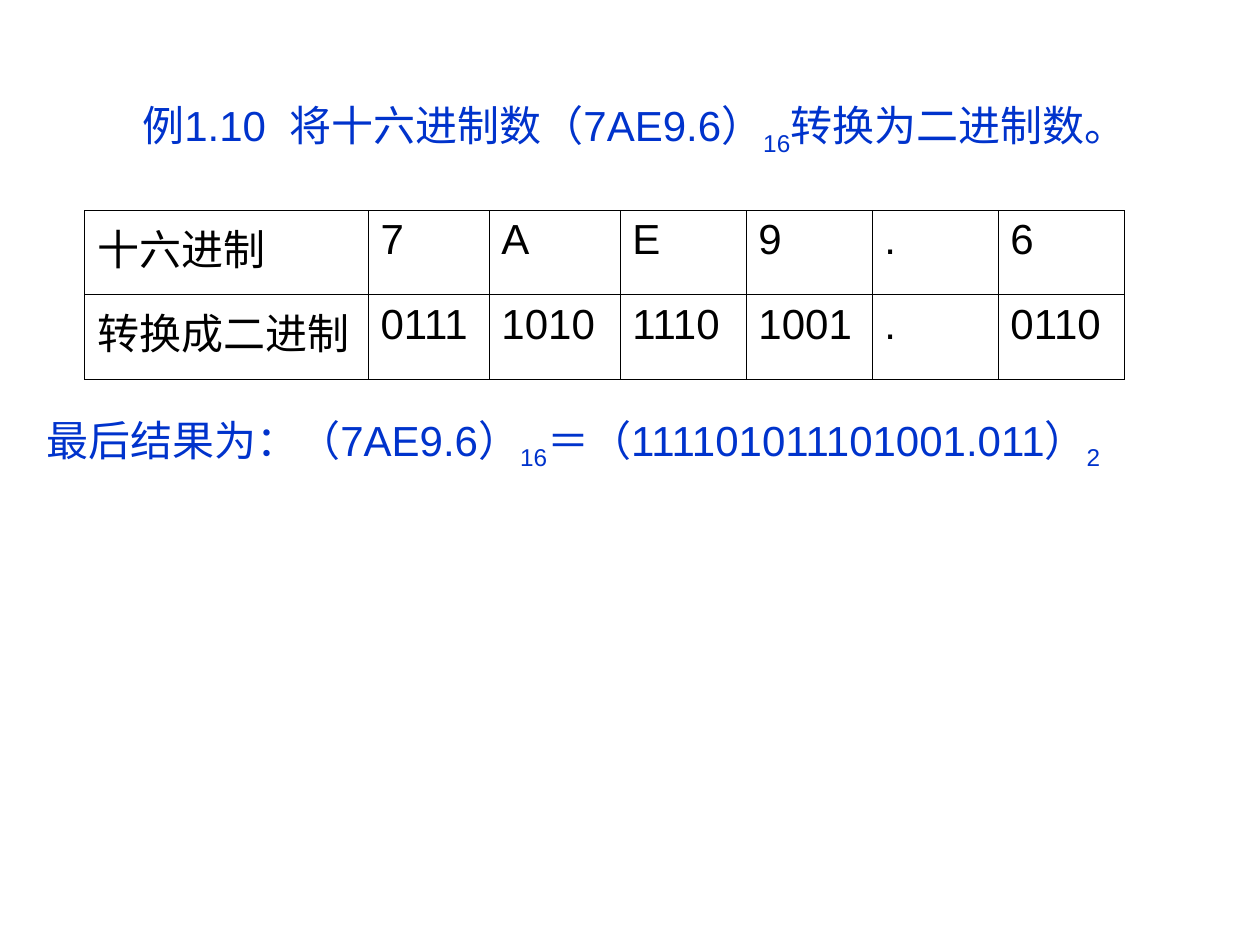
from lxml import etree
from pptx import Presentation
from pptx.dml.color import RGBColor
from pptx.enum.text import MSO_ANCHOR, MSO_AUTO_SIZE, PP_ALIGN
from pptx.oxml.ns import qn
from pptx.util import Inches, Pt

TOP = MSO_ANCHOR.TOP
NO_FIT = MSO_AUTO_SIZE.NONE
LEFT = PP_ALIGN.LEFT

BLUE, BLACK = "0033CC", "000000"
FONT, SIZE = "Arial", 24
TITLE = [("例1.10  将十六进制数（7AE9.6）", False), ("16", True), ("转换为二进制数。", False)]
RESULT = [("最后结果为：（7AE9.6）", False), ("16", True),
          ("＝（111101011101001.011）", False), ("2", True)]
ROWS = [
    ["十六进制", "7", "A", "E", "9", ".", "6"],
    ["转换成二进制", "0111", "1010", "1110", "1001", ".", "0110"],
]
COL_WIDTHS = [2.25, 0.96, 1.04, 1, 1, 1, 1]
ROW_HEIGHT = 0.67


def rgb(color):
    """Return the colour for a hex string."""
    return RGBColor.from_string(color)


def add_runs(p, runs, color):
    """Add (text, subscript) runs to a paragraph."""
    p.alignment = LEFT
    for text, subscript in runs:
        r = p.add_run()
        r.text = text
        r.font.name = FONT
        r.font.size = Pt(SIZE)
        r.font.color.rgb = rgb(color)
        if subscript:
            r.font._element.set("baseline", "-25000")


def place_text(sp, box, runs, margin_left=0.1, margin_top=0.05):
    """Position a text shape and write one blue line in it."""
    sp.left, sp.top, sp.width, sp.height = map(Inches, box)
    tf = sp.text_frame
    tf.word_wrap = True
    tf.auto_size = NO_FIT
    tf.vertical_anchor = TOP
    tf.margin_left, tf.margin_top = Inches(margin_left), Inches(margin_top)
    add_runs(tf.paragraphs[0], runs, BLUE)


def add_borders(cell):
    """Draw a thin black line on every side of a cell."""
    tcPr = cell._tc.get_or_add_tcPr()
    for side in ("lnL", "lnR", "lnT", "lnB"):
        ln = etree.SubElement(tcPr, qn(f"a:{side}"), w=str(Pt(0.45)))
        fill = etree.SubElement(ln, qn("a:solidFill"))
        etree.SubElement(fill, qn("a:srgbClr"), val=BLACK)


def add_digit_table(s):
    """Add the table that pairs each hex digit with its binary group."""
    frame = s.shapes.add_table(len(ROWS), len(COL_WIDTHS), Inches(0.67), Inches(1.67),
                               Inches(sum(COL_WIDTHS)), Inches(ROW_HEIGHT * len(ROWS)))
    table = frame.table
    table.first_row = table.horz_banding = False
    for col, width in zip(table.columns, COL_WIDTHS):
        col.width = Inches(width)
    for row, texts in zip(table.rows, ROWS):
        row.height = Inches(ROW_HEIGHT)
        for cell, text in zip(row.cells, texts):
            add_borders(cell)
            cell.fill.background()
            add_runs(cell.text_frame.paragraphs[0], [(text, False)], BLACK)


def main():
    """Build and save the slide."""
    prs = Presentation()
    prs.slide_width, prs.slide_height = Inches(10), Inches(7.5)
    s = prs.slides.add_slide(prs.slide_layouts[5])
    place_text(s.shapes.title, (0.33, 0.67, 9.34, 0.9), TITLE, 0.8, 0.12)
    add_digit_table(s)
    result = s.shapes.add_textbox(0, 0, 0, 0)
    place_text(result, (0.27, 3.24, 9.27, 1.01), RESULT)
    prs.save("out.pptx")


if __name__ == "__main__":
    main()
